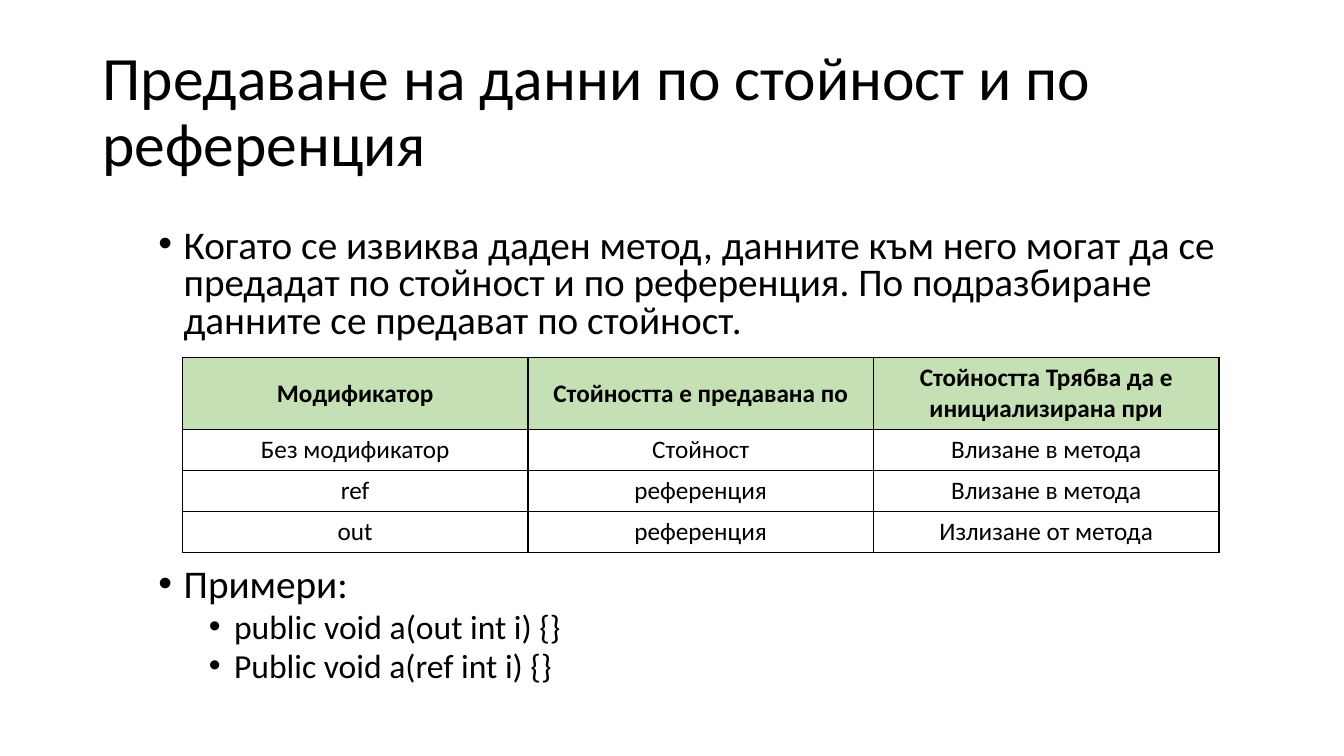
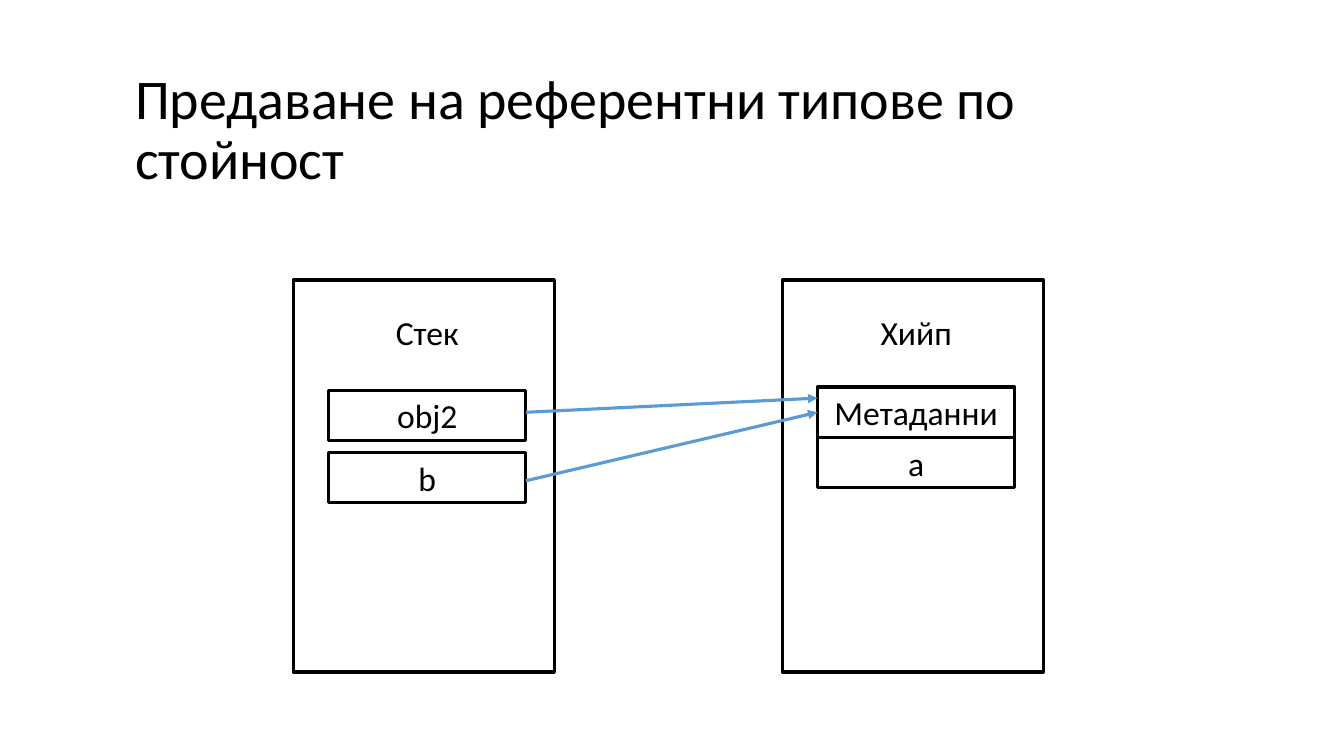
import dataclasses
import pptx
import pptx.dml.color
import pptx.enum.shapes
import pptx.enum.text
import pptx.oxml.ns
import pptx.util
from lxml import etree

Pt = pptx.util.Pt
Align = pptx.enum.text.PP_ALIGN
Anchor = pptx.enum.text.MSO_ANCHOR
qn = pptx.oxml.ns.qn


@dataclasses.dataclass(frozen=True)
class Theme:
    font: str = "Calibri"
    black: str = "000000"
    white: str = "FFFFFF"
    header: str = "C5E0B4"
    arrow: str = "5B9BD5"
    title_size: float = 44
    small_title_size: float = 40
    body_size: float = 28
    detail_size: float = 24
    table_size: float = 18
    line_width: float = 2.25
    border_width: float = 1


THEME = Theme()
TITLE_AND_BODY, TITLE_ONLY = 1, 5
PANEL_TOP, PANEL_WIDTH, PANEL_HEIGHT = 200, 186.5, 280
STACK_LEFT, HEAP_LEFT = 209.5, 558.7
SLOT_WIDTH, SLOT_HEIGHT = 141, 36
SLOT_INSET = 25.2
LABEL_TOP = 219

MODIFIERS = [
    ["Модификатор", "Стойността е предавана по", "Стойността Трябва да е инициализирана при"],
    ["Без модификатор", "Стойност", "Влизане в метода"],
    ["ref", "референция", "Влизане в метода"],
    ["out", "референция", "Излизане от метода"],
]


def color(value):
    return pptx.dml.color.RGBColor.from_string(value)


def write_text(paragraph, text, size, bold=False, align=Align.LEFT, spacing=1.0, before=0, bullet_left=None, level=0):
    paragraph.level = level
    if bullet_left is not None:
        properties = paragraph._p.get_or_add_pPr()
        properties.set("marL", str(Pt(bullet_left)))
        properties.set("indent", str(Pt(-18)))
        etree.SubElement(properties, qn("a:buFont"), typeface="Arial")
        etree.SubElement(properties, qn("a:buChar"), char="•")
    paragraph.alignment = align
    paragraph.line_spacing = spacing
    paragraph.space_before = Pt(before)
    run = paragraph.add_run()
    run.text = text
    run.font.name = THEME.font
    run.font.size = Pt(size)
    run.font.bold = bold
    run.font.color.rgb = color(THEME.black)


def place(shape, left, top, width, height):
    shape.left, shape.top, shape.width, shape.height = map(Pt, (left, top, width, height))


def add_title(slide, text, size, box):
    title = slide.shapes.title
    place(title, *box)
    frame = title.text_frame
    frame.auto_size = pptx.enum.text.MSO_AUTO_SIZE.NONE
    frame.vertical_anchor = Anchor.MIDDLE
    write_text(frame.paragraphs[0], text, size, spacing=0.9)


def add_bullets(slide, items, box):
    body = slide.placeholders[1]
    place(body, *box)
    frame = body.text_frame
    frame.auto_size = pptx.enum.text.MSO_AUTO_SIZE.NONE
    for index, (text, level, before) in enumerate(items):
        paragraph = frame.add_paragraph() if index else frame.paragraphs[0]
        size = THEME.detail_size if level else THEME.body_size
        write_text(paragraph, text, size, spacing=0.8, before=before, bullet_left=18 + 36 * level, level=level)


def add_cell_borders(cell):
    properties = cell._tc.get_or_add_tcPr()
    for index, side in enumerate(("a:lnL", "a:lnR", "a:lnT", "a:lnB")):
        border = etree.Element(qn(side), w=str(Pt(THEME.border_width)))
        fill = etree.SubElement(border, qn("a:solidFill"))
        etree.SubElement(fill, qn("a:srgbClr"), val=THEME.black)
        properties.insert(index, border)


def add_grid(slide, rows, left, top, column_width, header_height, row_height):
    columns = len(rows[0])
    height = header_height + row_height * (len(rows) - 1)
    table = slide.shapes.add_table(
        len(rows), columns, Pt(left), Pt(top), Pt(column_width * columns), Pt(height)).table
    table.first_row = table.horz_banding = False
    for column in table.columns:
        column.width = Pt(column_width)
    for row_index, texts in enumerate(rows):
        is_header = row_index == 0
        table.rows[row_index].height = Pt(header_height if is_header else row_height)
        for column_index, text in enumerate(texts):
            cell = table.cell(row_index, column_index)
            cell.vertical_anchor = Anchor.MIDDLE
            if is_header:
                cell.fill.solid()
                cell.fill.fore_color.rgb = color(THEME.header)
            else:
                cell.fill.background()
            add_cell_borders(cell)
            write_text(cell.text_frame.paragraphs[0], text, THEME.table_size, bold=is_header, align=Align.CENTER)


def add_box(slide, left, top, width, height, line=THEME.black, fill=None, text=None):
    shape = slide.shapes.add_shape(
        pptx.enum.shapes.MSO_SHAPE.RECTANGLE, Pt(left), Pt(top), Pt(width), Pt(height))
    shape.shadow.inherit = False
    shape.line.color.rgb = color(line)
    shape.line.width = Pt(THEME.line_width)
    if fill:
        shape.fill.solid()
        shape.fill.fore_color.rgb = color(fill)
    else:
        shape.fill.background()
    if text:
        frame = shape.text_frame
        frame.word_wrap = True
        frame.vertical_anchor = Anchor.TOP
        write_text(frame.paragraphs[0], text, THEME.detail_size, align=Align.CENTER)


def add_memory_area(slide, left, label, slots):
    add_box(slide, left, PANEL_TOP, PANEL_WIDTH, PANEL_HEIGHT, fill=THEME.white)
    slot_left = left + SLOT_INSET
    add_box(slide, slot_left, LABEL_TOP, SLOT_WIDTH, SLOT_HEIGHT, line=THEME.white, text=label)
    for text, top in slots:
        add_box(slide, slot_left, top, SLOT_WIDTH, SLOT_HEIGHT, text=text)


def add_arrow(slide, start_y, end_y):
    start_x = STACK_LEFT + SLOT_INSET + SLOT_WIDTH
    end_x = HEAP_LEFT + SLOT_INSET
    arrow = slide.shapes.add_connector(
        pptx.enum.shapes.MSO_CONNECTOR.STRAIGHT, Pt(start_x), Pt(start_y), Pt(end_x), Pt(end_y))
    arrow.line.color.rgb = color(THEME.arrow)
    arrow.line.width = Pt(THEME.line_width)
    etree.SubElement(arrow.line._get_or_add_ln(), qn("a:tailEnd"), type="triangle")
    etree.SubElement(arrow._element.spPr, qn("a:effectLst"))


def add_slide(presentation, layout):
    return presentation.slides.add_slide(presentation.slide_layouts[layout])


def build_modifiers_slide(presentation):
    slide = add_slide(presentation, TITLE_AND_BODY)
    add_title(slide, "Предаване на данни по стойност и по референция", THEME.title_size, (66, 28.75, 828, 104.4))
    add_bullets(slide, [
        ("Когато се извиква даден метод, данните към него могат да се предадат по стойност и по "
         "референция. По подразбиране данните се предават по стойност.", 0, 0),
        ("Примери:", 0, 162),
        ("public void a(out int i) {}", 1, 5),
        ("Public void a(ref int i) {}", 1, 5),
    ], (106, 160, 788, 351))
    add_grid(slide, MODIFIERS, 130.3, 255.6, 246.8, 51, 29.3)


def build_memory_slide(presentation):
    slide = add_slide(presentation, TITLE_ONLY)
    add_title(slide, "Предаване на референтни типове по стойност", THEME.small_title_size, (89.3, 41.75, 798.5, 104.4))
    add_memory_area(slide, STACK_LEFT, "Стек", [("obj2", 278.7), ("b", 323.3)])
    add_memory_area(slide, HEAP_LEFT, "Хийп", [("Метаданни", 276.5), ("a", 276.5 + SLOT_HEIGHT)])
    add_arrow(slide, 294.5, 284.4)
    add_arrow(slide, 343.4, 294.5)


def main():
    presentation = pptx.Presentation()
    presentation.slide_width = Pt(960)
    presentation.slide_height = Pt(540)
    build_modifiers_slide(presentation)
    build_memory_slide(presentation)
    presentation.save("out.pptx")


if __name__ == "__main__":
    main()
